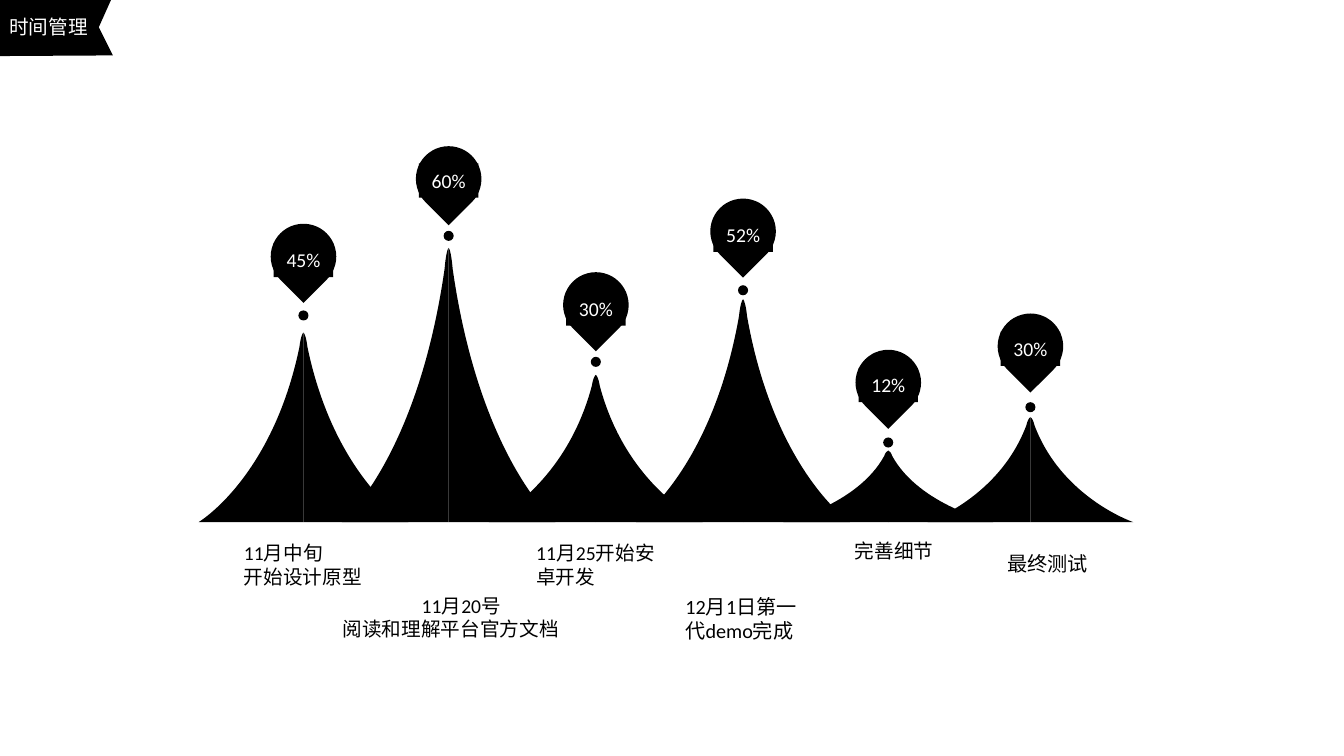
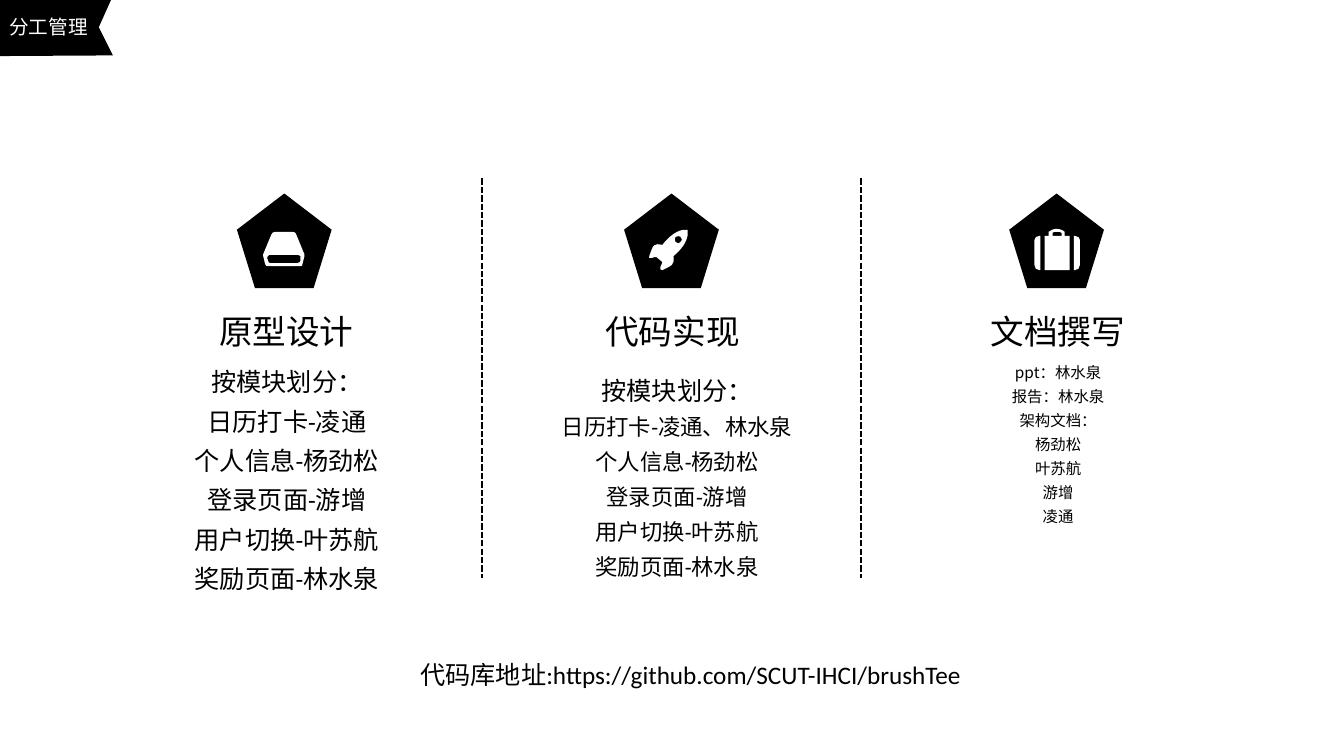
from pptx import Presentation
from pptx import util as u
from pptx.dml.color import RGBColor
from pptx.enum import dml, shapes, text
from pptx.oxml.ns import qn
from lxml import etree

WIDTH, HEIGHT = 13.33, 7.5
BLACK, WHITE = "000000", "FFFFFF"
LATIN, HEADING, CJK = "Calibri", "Arial", "Noto Sans CJK SC"
LEFT, CENTER, RIGHT = text.PP_ALIGN.LEFT, text.PP_ALIGN.CENTER, text.PP_ALIGN.RIGHT

RIBBON = [(1.12, 0.55), (-0.57, 0.56), (-0.57, 0.85), (-1.27, 0.27),
          (-0.57, -0.31), (-0.57, -0.02), (1.11, -0.02), (0.98, 0.27)]

BASE, TIP, DOT, PIN = 5.18, 0.04, 0.1, 0.65
LABEL_W, LABEL_H = 0.59, 0.34
PEAKS = [
    ("45%", 3.01, 3.3, 1.04, 3.08, 2.22, 2.41),
    ("60%", 4.45, 2.46, 1.06, 2.29, 1.45, 1.62),
    ("30%", 5.91, 3.72, 1.06, 3.54, 2.7, 2.89),
    ("52%", 7.37, 2.97, 1.06, 2.83, 1.97, 2.16),
    ("12%", 8.81, 4.47, 1.04, 4.34, 3.47, 3.65),
    ("30%", 10.22, 4.14, 1.02, 3.99, 3.11, 3.29),
]
MILESTONES = [
    (6.7, 5.85, 1.38, 0.34, 14.4, [("12月1日第一代demo完成", LEFT)]),
    (9.89, 5.42, 1.38, 0.34, 14.4, [("最终测试", LEFT)]),
    (3.3, 5.84, 2.55, 0.68, 14, [("11月20号", CENTER), ("阅读和理解平台官方文档", LEFT)]),
    (5.22, 5.32, 1.38, 0.34, 14, [("11月25开始安卓开发", LEFT)]),
    (8.38, 5.3, 1.38, 0.34, 14, [("完善细节", LEFT)]),
    (2.32, 5.32, 1.38, 0.96, 14, [("11月中旬", LEFT), ("开始设计原型", LEFT)]),
]

DRIVE = [
    [(66, 58), (59, 41), (59, 39, 57, 38, 55, 38), (38, 38),
     (36, 38, 35, 39, 34, 41), (27, 58), (26, 59, 26, 61, 26, 62), (28, 70),
     (28, 72, 30, 72, 31, 72), (63, 72), (64, 72, 65, 72, 65, 70), (67, 62),
     (67, 61, 67, 59, 66, 58)],
    [(63, 64), (63, 67), (63, 68, 61, 69, 60, 69), (33, 69),
     (32, 69, 31, 68, 31, 67), (30, 64), (30, 63, 31, 61, 32, 61), (61, 61),
     (63, 61, 64, 63, 63, 64)],
]
ROCKET = [
    [(49, 62), (49, 62, 65, 50, 63, 37), (63, 36), (50, 34, 38, 51, 38, 51),
     (29, 49, 29, 51, 25, 62), (24, 64, 25, 64, 27, 64), (29, 63, 32, 63, 32, 63),
     (38, 68), (38, 68, 37, 71, 36, 73), (35, 75, 36, 76, 38, 76),
     (48, 71, 50, 71, 49, 62)],
    [(51, 48), (50, 47, 50, 45, 51, 43), (53, 42, 55, 42, 56, 43),
     (58, 45, 58, 47, 56, 48), (55, 50, 53, 50, 51, 48)],
]
SUITCASE = [
    [(65, 42), (64, 42), (64, 76), (65, 76), (68, 76, 70, 74, 70, 71), (70, 46),
     (70, 44, 68, 42, 65, 42)],
    [(25, 46), (25, 71), (25, 74, 27, 76, 30, 76), (31, 76), (31, 42), (30, 42),
     (27, 42, 25, 44, 25, 46)],
    [(55, 38), (54, 37, 51, 35, 47, 35), (43, 35, 41, 37, 39, 38), (39, 42),
     (35, 42), (35, 76), (60, 76), (60, 42), (55, 42)],
    [(52, 42), (43, 42), (43, 39), (43, 38, 45, 38, 47, 38), (50, 38, 51, 38, 52, 39)],
]

PENTAGON, PENTAGON_TOP = 0.94, 1.92
HEADING_TOP, HEADING_W, HEADING_H, BODY_W = 3.04, 1.9, 0.5, 2.65
MODULES = ["个人信息-杨劲松", "登录页面-游增", "用户切换-叶苏航", "奖励页面-林水泉"]
DOCUMENTS = ["ppt：林水泉", "报告：林水泉", "架构文档：", "杨劲松", "叶苏航", "游增", "凌通"]
TASKS = [
    ("原型设计", DRIVE, 2.35, 1.89, (1.52, 3.5, BODY_W, 2.44), LATIN,
     [("按模块划分：", 18), ("日历打卡-凌通", 18)] + [(line, 18) for line in MODULES]),
    ("代码实现", ROCKET, 6.19, 5.72, (5.39, 3.58, BODY_W, 2.22), LATIN,
     [("按模块划分：", 18), ("日历打卡-凌通、林水泉", 16)] + [(line, 16) for line in MODULES]),
    ("文档撰写", SUITCASE, 10.01, 9.54, (9.17, 3.5, BODY_W, 1.77), CJK,
     [(line, 11) for line in DOCUMENTS]),
]
DIVIDERS, DIVIDER_TOP, DIVIDER_BOTTOM = [4.78, 8.54], 1.77, 5.73
REPOSITORY = "代码库地址:https://github.com/SCUT-IHCI/brushTee"


def rgb(value):
    return RGBColor.from_string(value)


def paint(shape, color):
    shape.shadow.inherit = False
    shape.fill.solid()
    shape.fill.fore_color.rgb = rgb(color)
    shape.line.fill.background()
    return shape


def add_preset(page, kind, left, top, width, height):
    sizes = [u.Inches(n) for n in (left, top, width, height)]
    return paint(page.shapes.add_shape(kind, *sizes), BLACK)


def bend_lines(shape, contours):
    segments = iter(list(shape._element.iter(qn("a:lnTo"))))
    for contour in contours:
        for step in contour[1:]:
            corners = [next(segments) for _ in range(len(step) // 2)]
            if len(corners) == 1:
                continue
            curve = etree.Element(qn("a:cubicBezTo"))
            corners[0].addprevious(curve)
            for corner in corners:
                curve.append(corner[0])
                corner.getparent().remove(corner)


def add_outline(page, contours, color, left=0, top=0, unit=1):
    builder = None
    for contour in contours:
        points = [(u.Inches(left + x * unit), u.Inches(top + y * unit))
                  for step in contour for x, y in zip(step[::2], step[1::2])]
        if builder is None:
            builder = page.shapes.build_freeform(*points[0], scale=1.0)
        else:
            builder.move_to(*points[0])
        builder.add_line_segments(points[1:], close=True)
    shape = paint(builder.convert_to_shape(), color)
    bend_lines(shape, contours)
    return shape


def write(frame, lines, font, color, spacing=None):
    for i, (words, size, align) in enumerate(lines):
        para = frame.paragraphs[0] if i == 0 else frame.add_paragraph()
        para.alignment = align
        if spacing:
            para.line_spacing = spacing
        span = para.add_run()
        span.text = words
        span.font.name = font
        span.font.size = u.Pt(size)
        span.font.color.rgb = rgb(color)


def add_text(page, place, lines, font=LATIN, color=BLACK, spacing=None, wrap=True):
    box = page.shapes.add_textbox(*[u.Inches(n) for n in place])
    box.text_frame.word_wrap = wrap
    write(box.text_frame, lines, font, color, spacing)


def add_title(page, title, font):
    add_outline(page, [RIBBON], BLACK)
    add_text(page, (-1.12, 0.1, 2.09, 0.33), [(title, 14, RIGHT)], font, WHITE)


def add_peak(page, label, center, top, half, dot_top, pin_top, label_top):
    height = BASE - top
    shoulder = top + 0.076 * height
    bend = shoulder + 0.75 * (BASE - shoulder)
    for side in (-1, 1):
        foot = center + side * half
        slope = [
            (center + side * TIP, shoulder),
            (center + side * 0.31, bend, foot, BASE, foot, BASE),
            (center, BASE),
            (center, top),
            (center + side * 0.01, top, center + side * 0.03, top + 0.03 * height,
             center + side * TIP, shoulder),
        ]
        add_outline(page, [slope], BLACK)
    kinds = shapes.MSO_SHAPE
    add_preset(page, kinds.OVAL, center - DOT / 2, dot_top, DOT, DOT)
    pin = add_preset(page, kinds.TEAR, center - PIN / 2, pin_top, PIN, PIN)
    pin.rotation = 135
    plate = add_preset(page, kinds.RECTANGLE, center - LABEL_W / 2, label_top, LABEL_W, LABEL_H)
    plate.text_frame.word_wrap = False
    plate.text_frame.vertical_anchor = text.MSO_ANCHOR.MIDDLE
    write(plate.text_frame, [(label, 14, CENTER)], LATIN, WHITE)


def add_divider(page, x):
    line = page.shapes.add_connector(
        shapes.MSO_CONNECTOR.STRAIGHT,
        u.Inches(x), u.Inches(DIVIDER_TOP), u.Inches(x), u.Inches(DIVIDER_BOTTOM))
    line.line.color.rgb = rgb(BLACK)
    line.line.width = u.Pt(1.5)
    line.line.dash_style = dml.MSO_LINE.SQUARE_DOT
    etree.SubElement(line._element.spPr, qn("a:effectLst"))


def add_task(page, title, icon, left, heading_left, body_place, font, lines):
    add_preset(page, shapes.MSO_SHAPE.REGULAR_PENTAGON, left, PENTAGON_TOP, PENTAGON, PENTAGON)
    add_outline(page, icon, WHITE, left, PENTAGON_TOP, 0.01)
    add_text(page, (heading_left, HEADING_TOP, HEADING_W, HEADING_H),
             [(title, 24, CENTER)], HEADING)
    add_text(page, body_place, [(words, size, CENTER) for words, size in lines],
             font, spacing=1.3)


def main():
    deck = Presentation()
    deck.slide_width, deck.slide_height = u.Inches(WIDTH), u.Inches(HEIGHT)
    blank = deck.slide_layouts[6]

    schedule = deck.slides.add_slide(blank)
    for peak in PEAKS:
        add_peak(schedule, *peak)
    for *place, size, lines in MILESTONES:
        add_text(schedule, place, [(words, size, align) for words, align in lines], wrap=False)
    add_title(schedule, "时间管理", CJK)

    division = deck.slides.add_slide(blank)
    for task in TASKS:
        add_task(division, *task)
    for x in DIVIDERS:
        add_divider(division, x)
    add_title(division, "分工管理", LATIN)
    add_text(division, (4.07, 6.49, 6.26, 0.4), [(REPOSITORY, 18, LEFT)])

    deck.save("out.pptx")


if __name__ == "__main__":
    main()
